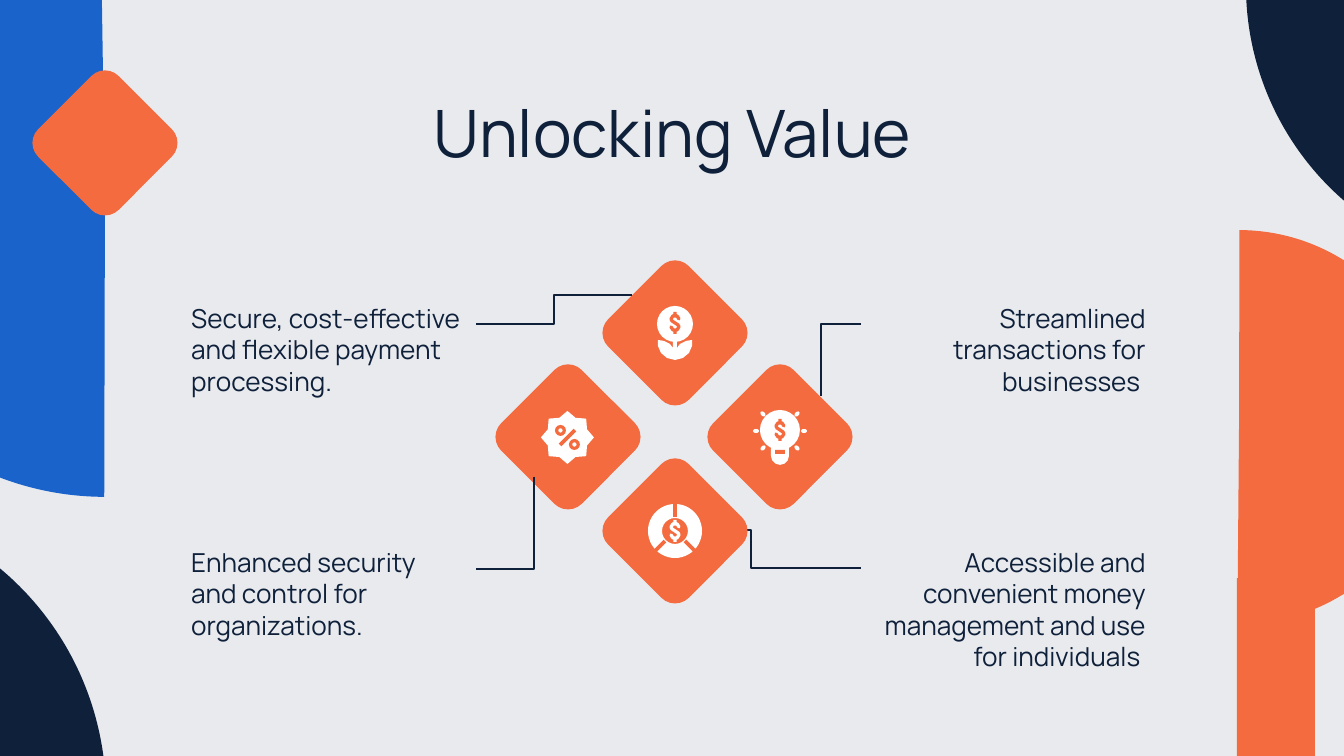
from lxml import etree
from pptx import Presentation
from pptx.dml.color import RGBColor
from pptx.enum.shapes import MSO_CONNECTOR, MSO_SHAPE
from pptx.enum.text import PP_ALIGN
from pptx.oxml.ns import qn
from pptx.util import Pt

PX = 9144000 / 1344  # EMU per px
NAVY, ORANGE, BLUE, WHITE = "0E203A", "F36B3F", "1963CB", "FFFFFF"
PIE, RECT, OVAL = MSO_SHAPE.PIE, MSO_SHAPE.RECTANGLE, MSO_SHAPE.OVAL
ROUND_RECT, DONUT = MSO_SHAPE.ROUNDED_RECTANGLE, MSO_SHAPE.DONUT
STAR = MSO_SHAPE.STAR_8_POINT
STRAIGHT, ELBOW = MSO_CONNECTOR.STRAIGHT, MSO_CONNECTOR.ELBOW
LEFT, CENTER, RIGHT = PP_ALIGN.LEFT, PP_ALIGN.CENTER, PP_ALIGN.RIGHT

prs = Presentation()
prs.slide_width, prs.slide_height = round(1344 * PX), round(756 * PX)
s = prs.slides.add_slide(prs.slide_layouts[6])
s.background.fill.solid()
s.background.fill.fore_color.rgb = RGBColor.from_string("E9EAEE")


def add_shape(kind, box, color, rotation=0, adjustments=()):
    sp = s.shapes.add_shape(kind, *[round(v * PX) for v in box])
    sp.shadow.inherit = False
    sp.fill.solid()
    sp.fill.fore_color.rgb = RGBColor.from_string(color)
    sp.line.fill.background()
    sp.rotation = rotation
    for i, value in enumerate(adjustments):
        sp.adjustments[i] = value
    return sp


def add_line(kind, ends, color, width):
    cxn = s.shapes.add_connector(kind, *[round(v * PX) for v in ends])
    cxn.line.color.rgb = RGBColor.from_string(color)
    cxn.line.width = Pt(width)
    etree.SubElement(cxn._element.spPr, qn("a:effectLst"))
    return cxn


# Corner decoration
add_shape(PIE, (1042, 230, 394, 394), ORANGE, 180, (54.08, 162.29))
add_shape(PIE, (1246, -298, 568, 568), NAVY, 180, (162.07, 215.42))
add_shape(PIE, (-190, -93, 590, 590), BLUE, 0, (54.08, 161.48))
add_shape(PIE, (-484, 500, 590, 590), NAVY, 0, (162.07, 215.99))
add_shape(RECT, (1237, 578, 78, 184), ORANGE)

# Elbow lines and diamonds; the first line passes behind its diamond
add_line(ELBOW, (641, 530, 861, 568), NAVY, 0.75)
for x, y in [(48, 86), (618, 276), (618, 474), (723, 380), (511, 380)]:
    add_shape(ROUND_RECT, (x, y, 114, 114), ORANGE, 45, (0.17,))
add_line(ELBOW, (632, 295, 476, 324), NAVY, 0.75)
for ends, rotation in [((805, 340, 877, 380), 270), ((459, 494, 551, 552), 90)]:
    cxn = add_line(ELBOW, ends, NAVY, 0.75)
    spPr = cxn._element.spPr
    spPr.find(qn("a:prstGeom")).set("prst", "bentConnector2")
    spPr.find(qn("a:xfrm")).set("rot", str(rotation * 60000))

# Title and captions
texts = [
    ("Unlocking Value", (106, 79, 1133, 84), 35, CENTER),
    ("Secure, cost-effective and flexible payment processing.",
     (178, 289, 298, 71), 14, LEFT),
    ("Streamlined transactions for businesses ",
     (861, 289, 298, 71), 14, RIGHT),
    ("Enhanced security and control for organizations.",
     (178, 533, 298, 71), 14, LEFT),
    ("Accessible and convenient money management and use for individuals ",
     (861, 533, 298, 71), 14, RIGHT),
]
for text, box, size, align in texts:
    tf = s.shapes.add_textbox(*[round(v * PX) for v in box]).text_frame
    tf.word_wrap = True
    tf.margin_left = tf.margin_right = Pt(7.2)
    tf.margin_top = tf.margin_bottom = Pt(7.2)
    p = tf.paragraphs[0]
    p.alignment = align
    r = p.add_run()
    r.text = text
    r.font.name = "Manrope"
    r.font.size = Pt(size)
    r.font.color.rgb = RGBColor.from_string(NAVY)

# Percent badge
add_shape(STAR, (541, 411, 53, 53), WHITE, 0, (0.4,))
for x, y in [(555, 425), (569, 439)]:
    add_shape(DONUT, (x, y, 11, 11), ORANGE, 0, (0.3,))
add_line(STRAIGHT, (560, 445, 575, 430), ORANGE, 2)

# Coin flower
add_shape(OVAL, (657, 306, 36, 36), WHITE)
leaves = [(-17, 0), (-11, 1), (-5, 4), (-2, 8), (-2, 0), (2, 0), (2, 8),
          (5, 4), (11, 1), (17, 0), (17, 6), (14, 13), (8, 18), (0, 20),
          (-8, 18), (-14, 13), (-17, 6)]
fb = s.shapes.build_freeform(*leaves[0], scale=PX)
fb.add_line_segments(leaves[1:])
sp = fb.convert_to_shape(round(675 * PX), round(340 * PX))
sp.shadow.inherit = False
sp.fill.solid()
sp.fill.fore_color.rgb = RGBColor.from_string(WHITE)
sp.line.fill.background()

# Light bulb with rays
add_shape(OVAL, (760, 410, 40, 40), WHITE)
add_shape(ROUND_RECT, (771, 440, 18, 25), WHITE, 0, (0.5,))
add_shape(RECT, (775, 450, 10, 4), ORANGE)
for dx, dy, rotation in [(-24, 0, 0), (24, 0, 0), (-17, -17, 45),
                         (17, -17, 135), (-17, 17, 135), (17, 17, 45)]:
    add_shape(OVAL, (777 + dx, 429 + dy, 6, 4), WHITE, rotation)

# Ring in three parts
add_shape(DONUT, (648, 504, 54, 54), WHITE, 0, (0.26,))
for dx, dy in [(0, -14), (-10, 10), (10, 10)]:
    add_line(STRAIGHT, (675 + dx, 531 + dy, 675 + 2 * dx, 531 + 2 * dy),
             ORANGE, 2)

# Dollar signs
dollar = [(0, -11), (0, -7), (2, -7), (4, -4), (2, -7), (-2, -7), (-4, -4),
          (-3, -2), (3, 2), (4, 4), (2, 7), (-2, 7), (-4, 4), (-2, 7),
          (0, 7), (0, 11)]
for cx, cy, color in [(675, 323, ORANGE), (780, 430, ORANGE), (675, 531, WHITE)]:
    fb = s.shapes.build_freeform(*dollar[0], scale=PX)
    fb.add_line_segments(dollar[1:], close=False)
    sp = fb.convert_to_shape(round(cx * PX), round(cy * PX))
    sp.shadow.inherit = False
    sp.fill.background()
    sp.line.color.rgb = RGBColor.from_string(color)
    sp.line.width = Pt(1.75)

prs.save("out.pptx")
